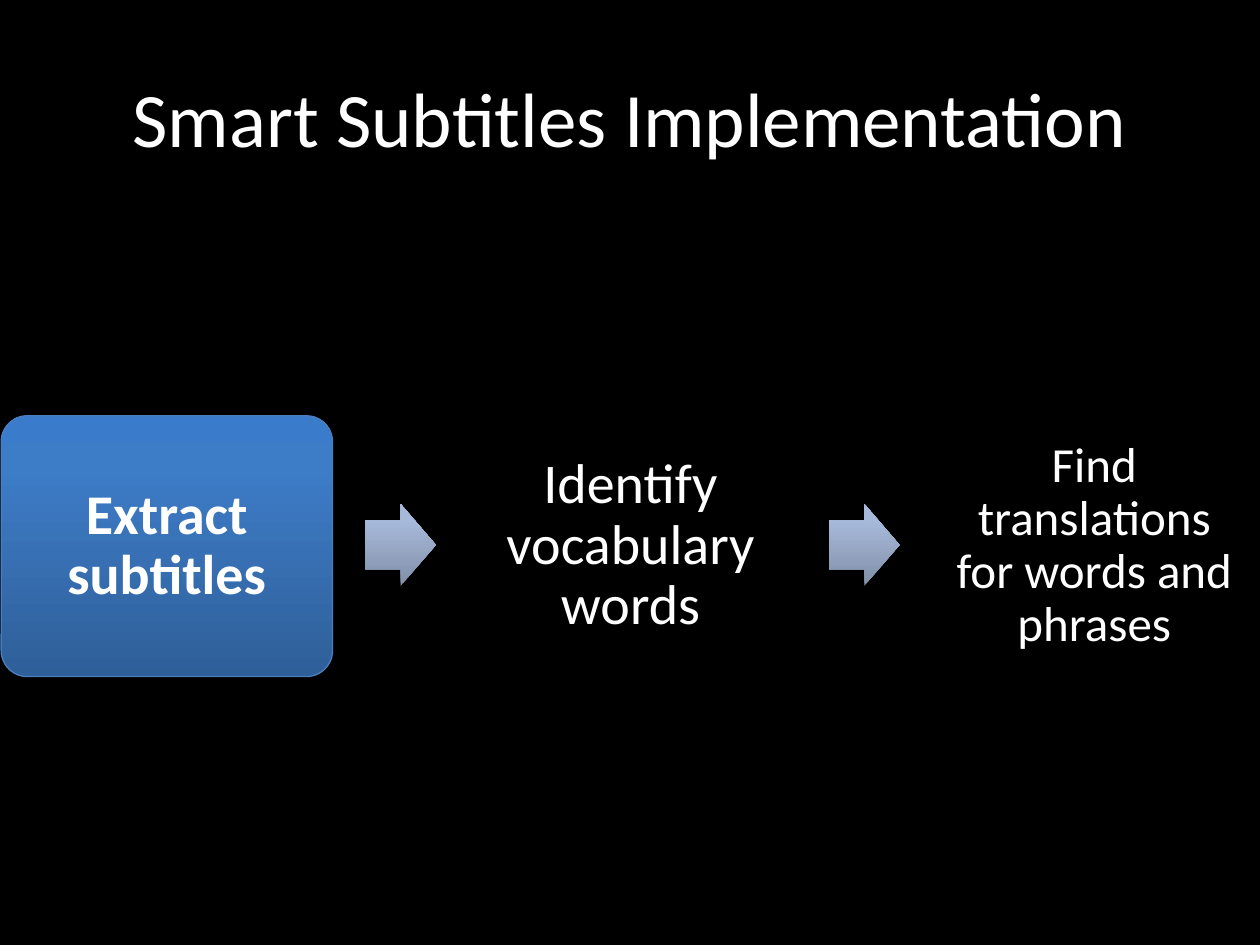
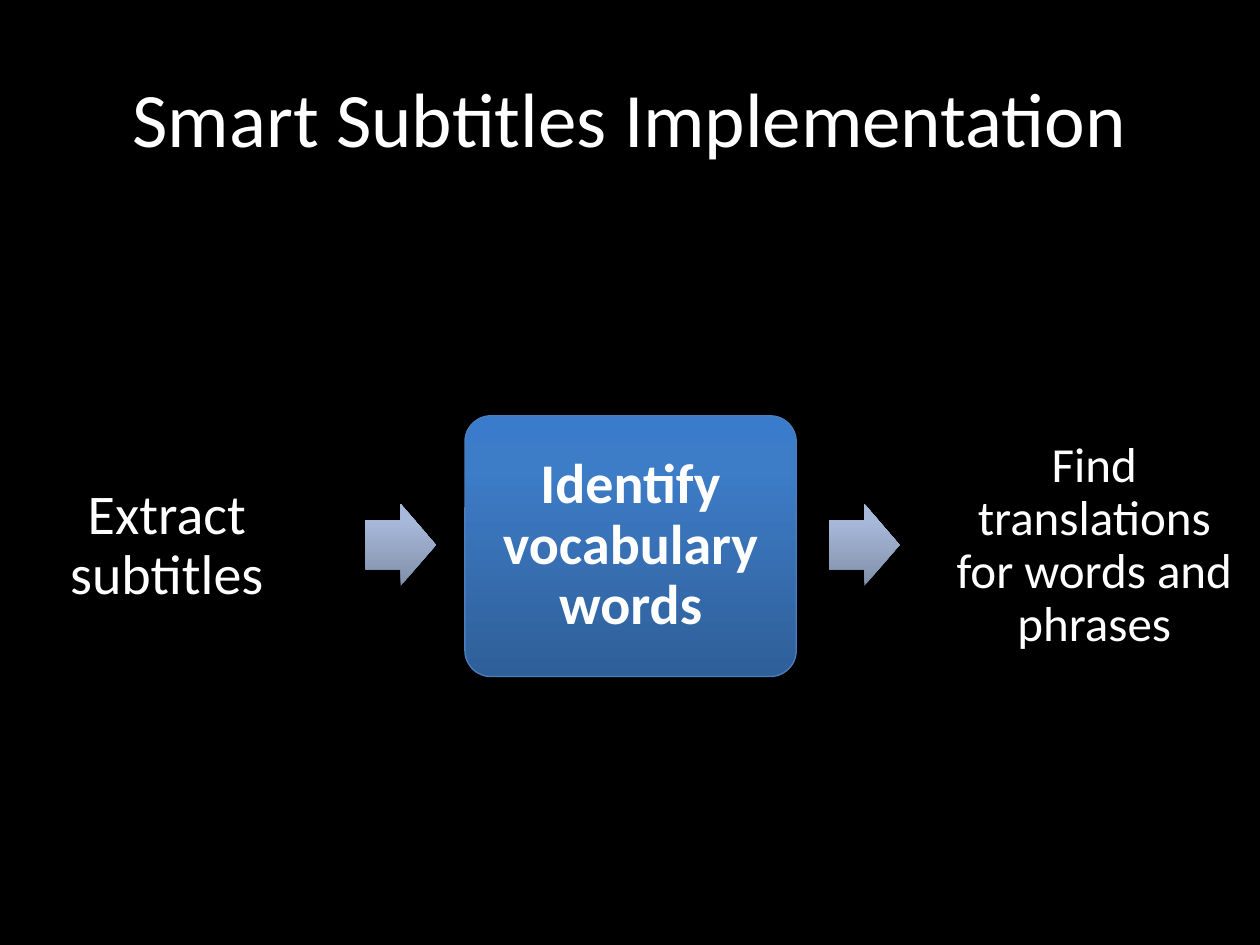
from copy import deepcopy

from pptx import Presentation
from pptx.dml.color import RGBColor
from pptx.enum.shapes import MSO_SHAPE as Shape
from pptx.enum.text import MSO_ANCHOR as Anchor, PP_ALIGN as Align
from pptx.oxml.ns import qn
from pptx.util import Inches, Pt

BLACK = RGBColor(0x00, 0x00, 0x00)
WHITE = RGBColor(0xFF, 0xFF, 0xFF)
EDGE = RGBColor(0x4B, 0x7E, 0xBC)
BLUES = (RGBColor(0x2F, 0x5F, 0x99), RGBColor(0x3D, 0x7C, 0xC7), RGBColor(0x3A, 0x7C, 0xCB))
GREYS = (RGBColor(0x81, 0x8F, 0xA8), RGBColor(0xA7, 0xB9, 0xDA), RGBColor(0xA7, 0xBA, 0xDC))
STOPS = (0, 0.8, 1)
FONT = "Calibri"
TITLE = "Smart Subtitles Implementation"
STEPS = (
    ("Extract subtitles", 32, 0.13),
    ("Identify vocabulary words", 32, 0.13),
    ("Find translations for words and phrases", 28, 0.12),
)
PITCH = 3.68


class Deck:
    def __init__(self):
        self.prs = Presentation()
        self.prs.slide_width = Inches(10)
        self.prs.slide_height = Inches(7.5)
        self.slide = None

    def start(self):
        self.slide = self.prs.slides.add_slide(self.prs.slide_layouts[6])
        fill = self.slide.background.fill
        fill.solid()
        fill.fore_color.rgb = BLACK

    def label(self, shape, text, size, bold=False):
        frame = shape.text_frame
        frame.word_wrap = True
        frame.vertical_anchor = Anchor.MIDDLE
        para = frame.paragraphs[0]
        para.text = text
        para.alignment = Align.CENTER
        font = para.font
        font.name, font.size, font.bold = FONT, Pt(size), bold
        font.color.rgb = WHITE
        return frame, para

    def shade(self, shape, colors):
        fill = shape.fill
        fill.gradient()
        fill.gradient_angle = 90
        first = shape._element.find(".//" + qn("a:gs"))
        first.addnext(deepcopy(first))
        for stop, place, color in zip(fill.gradient_stops, STOPS, colors):
            stop.position = place
            stop.color.rgb = color

    def title(self, text):
        box = self.slide.shapes.add_textbox(Inches(0.5), Inches(0.3), Inches(9), Inches(1.25))
        self.label(box, text, 44)

    def step(self, left, text, size, inset, active):
        box = self.slide.shapes.add_shape(
            Shape.ROUNDED_RECTANGLE, Inches(left), Inches(3.3), Inches(2.63), Inches(2.07))
        box.adjustments[0] = 0.1
        box.shadow.inherit = False
        if active:
            self.shade(box, BLUES)
        else:
            box.fill.solid()
            box.fill.fore_color.rgb = BLACK
        box.line.color.rgb = EDGE if active else BLACK
        box.line.width = Pt(0.75)
        frame, para = self.label(box, text, size, active)
        para.line_spacing = 0.9
        frame.margin_left = frame.margin_right = Inches(inset)
        frame.margin_top = frame.margin_bottom = Inches(inset)

    def arrow(self, left):
        arrow = self.slide.shapes.add_shape(
            Shape.RIGHT_ARROW, Inches(left), Inches(4), Inches(0.56), Inches(0.65))
        arrow.adjustments[0] = 0.6
        arrow.adjustments[1] = 0.5
        arrow.shadow.inherit = False
        arrow.line.fill.background()
        self.shade(arrow, GREYS)

    def flow(self, current):
        for i, (text, size, inset) in enumerate(STEPS):
            if i:
                self.arrow(2.9 + (i - 1) * PITCH)
            self.step(0.01 + i * PITCH, text, size, inset, i == current)


def main():
    deck = Deck()
    for current in range(2):
        deck.start()
        deck.title(TITLE)
        deck.flow(current)
    deck.prs.save("out.pptx")


if __name__ == "__main__":
    main()
